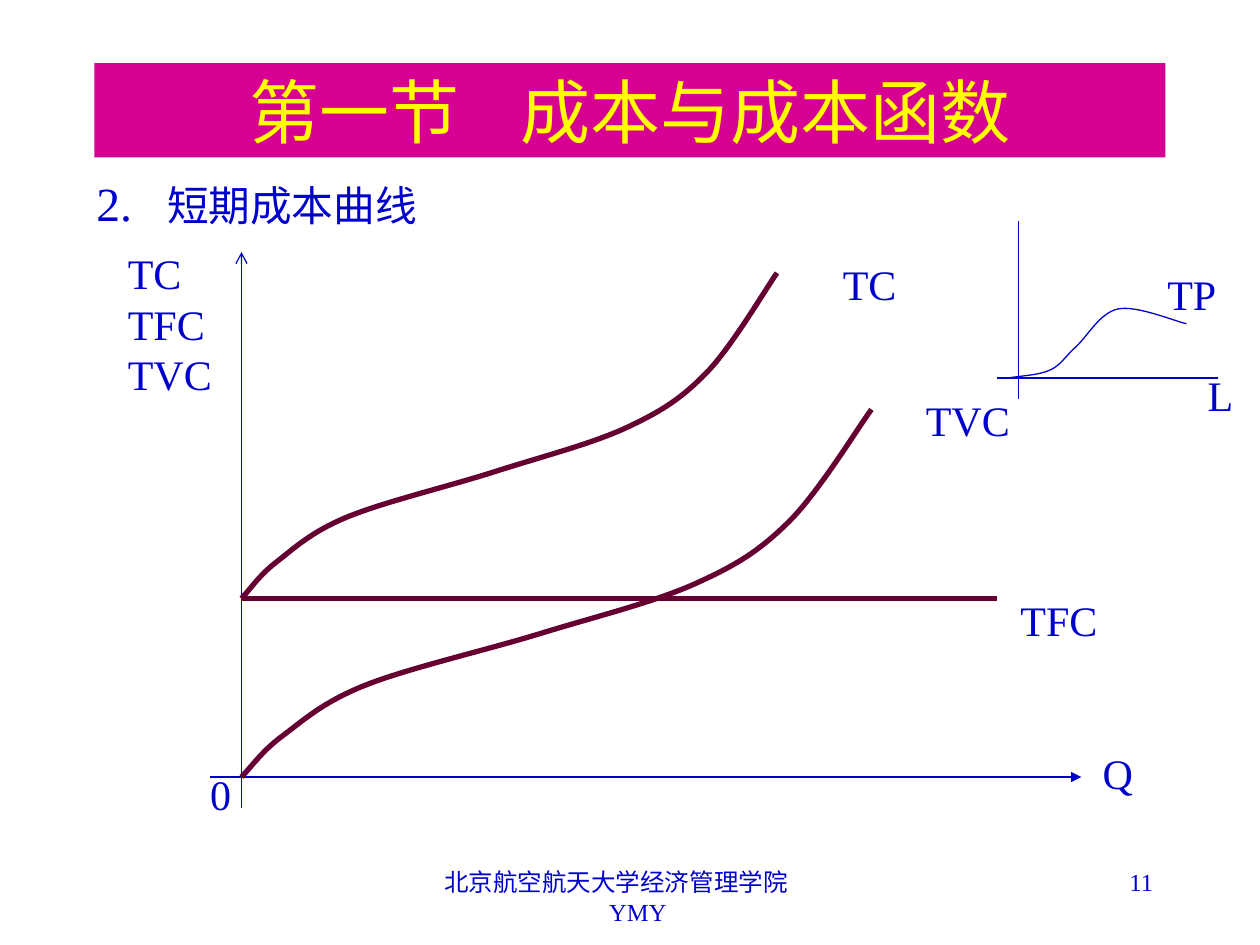
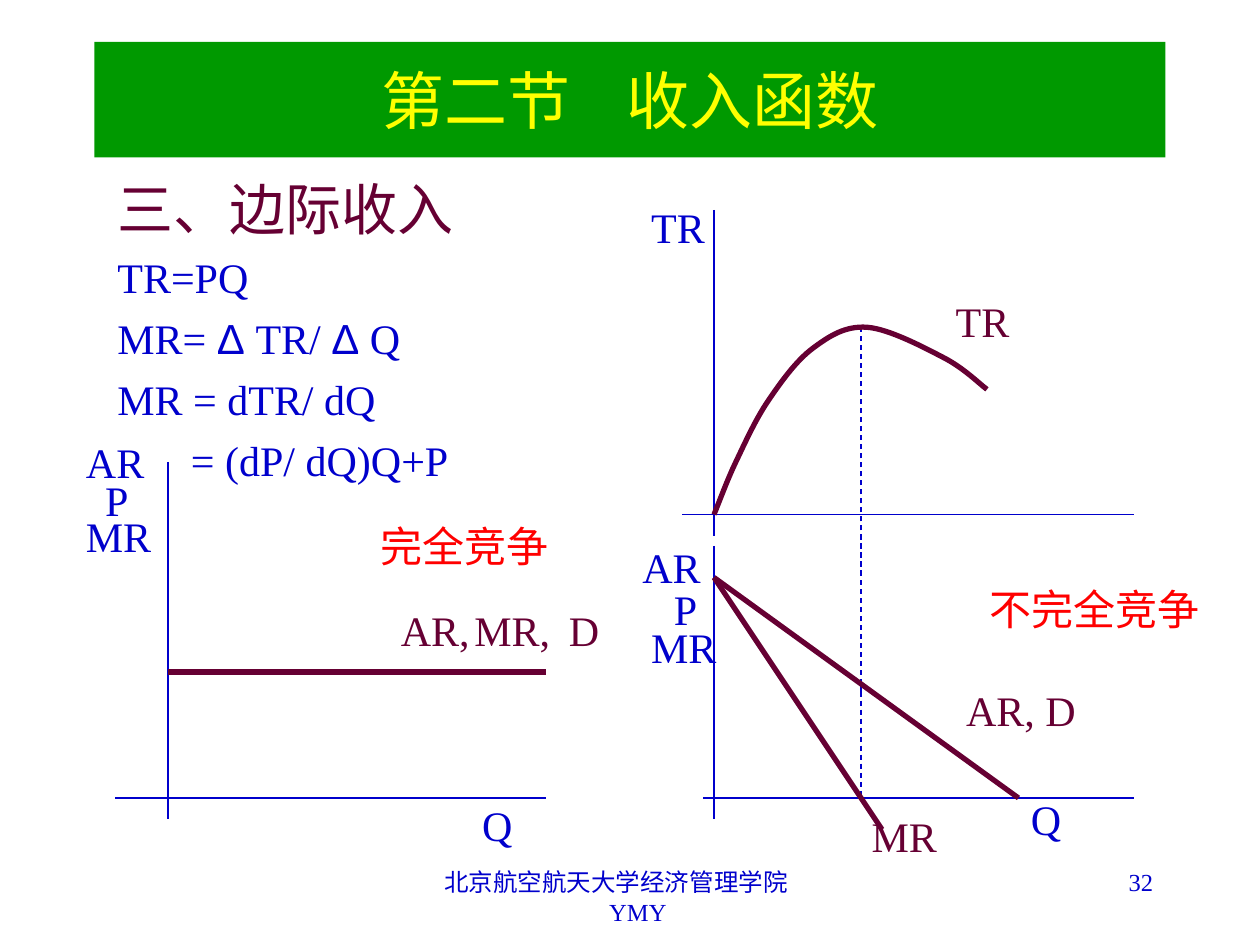
from dataclasses import dataclass

from lxml.etree import SubElement
from pptx import Presentation
from pptx.dml.color import RGBColor
from pptx.enum.dml import MSO_LINE
from pptx.enum.shapes import MSO_CONNECTOR, MSO_SHAPE
from pptx.enum.text import MSO_ANCHOR, MSO_AUTO_SIZE, PP_ALIGN
from pptx.oxml.ns import qn
from pptx.slide import Slide
from pptx.util import Pt

# Shared look; all lengths are in points
COLORS = {"blue": "0000CC", "plum": "660033", "yellow": "FFFF00",
          "magenta": "D60093", "green": "009900", "red": "FF0000"}
FONT = "Times New Roman"
THIN, THICK = 0.75, 3
TITLE_GAP = 0.88
Point = tuple[float, float]


@dataclass
class Label:
    text: str
    left: float
    top: float
    width: float
    color: str = "blue"


@dataclass
class Line:
    start: Point
    end: Point
    color: str = "blue"
    weight: float = THIN
    dashed: bool = False
    head: str = ""
    tail: str = ""


@dataclass
class Curve:
    knots: list[Point]
    color: str = "plum"
    weight: float = THICK


def rgb(name: str) -> RGBColor:
    return RGBColor.from_string(COLORS[name])


def add_span(para, text: str, *, size: float = 24, color: str = "blue", font: str = FONT) -> None:
    span = para.add_run()
    span.text = text
    span.font.size = Pt(size)
    span.font.name = font
    span.font.color.rgb = rgb(color)


def indent(para, margin: float, first: float = 0) -> None:
    properties = para._p.get_or_add_pPr()
    properties.set("marL", str(Pt(margin)))
    properties.set("indent", str(Pt(first)))


def add_box(page: Slide, left: float, top: float, width: float, height: float = 36, *, wrap: bool = True):
    box = page.shapes.add_textbox(Pt(left), Pt(top), Pt(width), Pt(height))
    frame = box.text_frame
    frame.word_wrap = wrap
    if not wrap:
        frame.auto_size = MSO_AUTO_SIZE.SHAPE_TO_FIT_TEXT
    return frame


def add_label(page: Slide, label: Label) -> None:
    frame = add_box(page, label.left, label.top, label.width, wrap=False)
    add_span(frame.paragraphs[0], label.text, color=label.color)


def add_line(page: Slide, line: Line) -> None:
    connector = page.shapes.add_connector(
        MSO_CONNECTOR.STRAIGHT, *(Pt(value) for value in line.start + line.end))
    connector.line.color.rgb = rgb(line.color)
    connector.line.width = Pt(line.weight)
    if line.dashed:
        connector.line.dash_style = MSO_LINE.DASH
    properties = connector._element.spPr
    for tag, kind in (("a:headEnd", line.head), ("a:tailEnd", line.tail)):
        if kind:
            SubElement(properties.find(qn("a:ln")), qn(tag), type=kind)
    SubElement(properties, qn("a:effectLst"))


def bezier_segments(knots: list[Point]) -> list[list[Point]]:
    """Two handles and an end point for each piece of a spline through the knots."""
    lead_in = tuple(1.5 * a - 0.5 * b for a, b in zip(*knots[:2]))
    padded = [lead_in, *knots, knots[-1]]
    segments = []
    for index, (a, b, c, d) in enumerate(zip(padded, padded[1:], padded[2:], padded[3:])):
        leave = tuple(q + (r - p) / 6 for p, q, r in zip(a, b, c))
        arrive = tuple(r - (s - q) / 6 for q, r, s in zip(b, c, d))
        segments.append([leave, arrive, c])
    return segments


def add_curve(page: Slide, curve: Curve) -> None:
    knots = [(Pt(x), Pt(y)) for x, y in curve.knots]
    builder = page.shapes.build_freeform(*knots[0])
    builder.add_line_segments(knots[1:], close=False)
    shape = builder.convert_to_shape()
    shape.shadow.inherit = False
    shape.fill.background()
    shape.line.color.rgb = rgb(curve.color)
    shape.line.width = Pt(curve.weight)
    # Bend each straight piece
    pieces = list(shape._element.iter(qn("a:lnTo")))
    for piece, points in zip(pieces, bezier_segments(knots)):
        piece.tag = qn("a:cubicBezTo")
        for child in list(piece):
            piece.remove(child)
        for x, y in points:
            SubElement(piece, qn("a:pt"), x=str(round(x - shape.left)), y=str(round(y - shape.top)))


def add_title(page: Slide, section: str, topic: str, *, top: float, height: float,
              fill: str, size: float) -> None:
    band = page.shapes.add_shape(MSO_SHAPE.RECTANGLE, Pt(54), Pt(top), Pt(612), Pt(height))
    band.shadow.inherit = False
    band.fill.solid()
    band.fill.fore_color.rgb = rgb(fill)
    band.line.fill.background()
    band.text_frame.vertical_anchor = MSO_ANCHOR.MIDDLE
    para = band.text_frame.paragraphs[0]
    para.alignment = PP_ALIGN.CENTER
    for text, scale in ((section, 1), ("　", TITLE_GAP), (topic, 1)):
        add_span(para, text, size=round(size * scale), color="yellow")


def add_footer(page: Slide, number: int) -> None:
    frame = add_box(page, 238, 492, 228)
    school, author = frame.paragraphs[0], frame.add_paragraph()
    indent(author, 25)
    for para, text in ((school, "北京航空航天大学经济管理学院"), (author, "YMY")):
        para.alignment = PP_ALIGN.CENTER
        add_span(para, text, size=14)
    para = add_box(page, 516, 492, 150).paragraphs[0]
    para.alignment = PP_ALIGN.RIGHT
    add_span(para, str(number), size=14)


def draw(page: Slide, parts: list) -> None:
    drawers = {Label: add_label, Line: add_line, Curve: add_curve}
    for part in parts:
        drawers[type(part)](page, part)


def build_cost_page(page: Slide) -> None:
    add_footer(page, 11)
    add_title(page, "第一节", "成本与成本函数", top=36, height=54, fill="magenta", size=40)

    # Numbered heading
    para = add_box(page, 48, 96, 612, 42).paragraphs[0]
    indent(para, 40.5, -40.5)
    add_span(para, "2.\t", size=27.2)
    add_span(para, "短期成本曲线", size=23.8)

    # Total cost repeats variable cost, scaled down and starting at fixed cost
    axis_x, axis_y, fixed_y = 138, 444, 342
    variable_cost = [(axis_x, axis_y), (161.5, 420.5), (209, 391.5), (309, 362),
                     (397.5, 333.5), (451, 298), (498, 234)]
    total_cost = [(axis_x + (x - axis_x) * 306 / 360, fixed_y + (y - axis_y) * 186 / 210)
                  for x, y in variable_cost]
    product = [(576, 216), (600, 211.5), (615, 198), (639, 176.5), (678, 185)]
    draw(page, [
        Line((axis_x, 144), (axis_x, 462), head="arrow"),
        Line((120, axis_y), (618, axis_y), tail="triangle"),
        Line((axis_x, fixed_y), (570, fixed_y), "plum", THICK),
        Curve(variable_cost),
        Curve(total_cost),
        Label("TFC", 576, 336, 60),
        Label("TVC", 522, 222, 64),
        Label("TC", 474.5, 144, 46),
        Label("Q", 623, 423.5, 33),
        Label("0", 113, 435.5, 27),
        # Small total product graph
        Line((582, 126), (582, 228)),
        Line((570, 216), (696, 216)),
        Curve(product, "blue", THIN),
        Label("L", 683, 207.5, 30),
        Label("TP", 660, 150, 44),
    ])

    # Names on the cost axis
    frame = add_box(page, 66, 138, 72, 94)
    for index, name in enumerate(("TC", "TFC", "TVC")):
        add_span(frame.add_paragraph() if index else frame.paragraphs[0], name)


def build_revenue_page(page: Slide) -> None:
    add_footer(page, 32)
    add_title(page, "第二节", "收入函数", top=24, height=66, fill="green", size=36)

    # Heading and formulas
    frame = add_box(page, 60, 96, 300, 144)
    add_span(frame.paragraphs[0], "三、边际收入", size=32, color="plum")
    formulas = [["TR=PQ"], ["MR= ", "Δ", " TR/ ", "Δ", " Q"],
                ["MR = dTR/ dQ"], ["= (dP/ dQ)Q+P"]]
    for formula in formulas:
        para = frame.add_paragraph()
        para.space_before = Pt(6)
        if formula[0].startswith("="):
            indent(para, 42)
        for piece in formula:
            add_span(para, piece, font="Arial" if piece == "Δ" else FONT)

    left_x, right_x, quantity_y, peak_x = 96, 408, 456, 492
    revenue = [(right_x, 294), (420.5, 264), (439, 229), (464.5, 199),
               (495.5, 187), (539.5, 204.5), (564, 222.5)]
    draw(page, [
        # Perfect competition
        Line((left_x, 264), (left_x, 468)),
        Line((66, quantity_y), (312, quantity_y)),
        Line((left_x, 384), (312, 384), "plum", THICK),
        Label("AR", 42, 246, 49),
        Label("P", 53, 267.5, 28),
        Label("MR", 42, 288, 53),
        Label("Q", 268.5, 453.5, 33),
        Label("AR,", 222, 342, 55, "plum"),
        Label("MR,", 264, 342, 59, "plum"),
        Label("D", 318, 342, 33, "plum"),
        Label("完全竞争", 210.5, 294, 112, "red"),
        # Total revenue
        Line((right_x, 120), (right_x, 306)),
        Line((390, 294), (648, 294)),
        Line((peak_x, 390), (peak_x, quantity_y), dashed=True),
        Line((peak_x, 396), (peak_x, 186), dashed=True),
        Curve(revenue),
        Label("TR", 365, 111.5, 46),
        Label("TR", 539, 165.5, 46, "plum"),
        # Imperfect competition
        Line((right_x, 312), (right_x, 468)),
        Line((402, quantity_y), (648, quantity_y)),
        Line((right_x, 330), (582, quantity_y), "plum", THICK),
        Line((right_x, 330), (504, 474), "plum", THICK),
        Label("AR", 360, 306, 49),
        Label("P", 378, 330, 28),
        Label("MR", 365, 351.5, 53),
        Label("AR, D", 545, 387.5, 78, "plum"),
        Label("MR", 491, 459.5, 53, "plum"),
        Label("Q", 582, 450, 33),
        Label("不完全竞争", 558.5, 330, 135, "red"),
    ])


def main() -> None:
    deck = Presentation()
    deck.slide_width, deck.slide_height = Pt(720), Pt(540)
    for build in (build_cost_page, build_revenue_page):
        build(deck.slides.add_slide(deck.slide_layouts[6]))
    deck.save("out.pptx")


if __name__ == "__main__":
    main()
